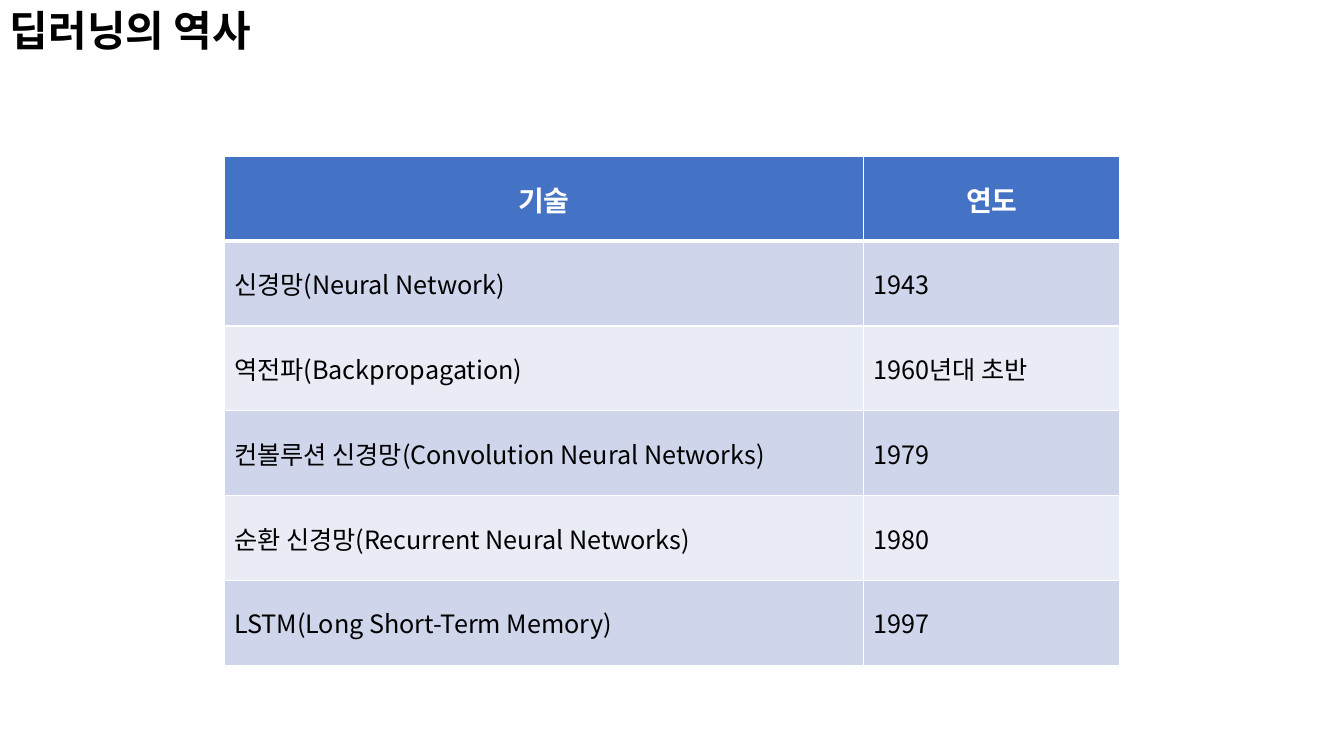
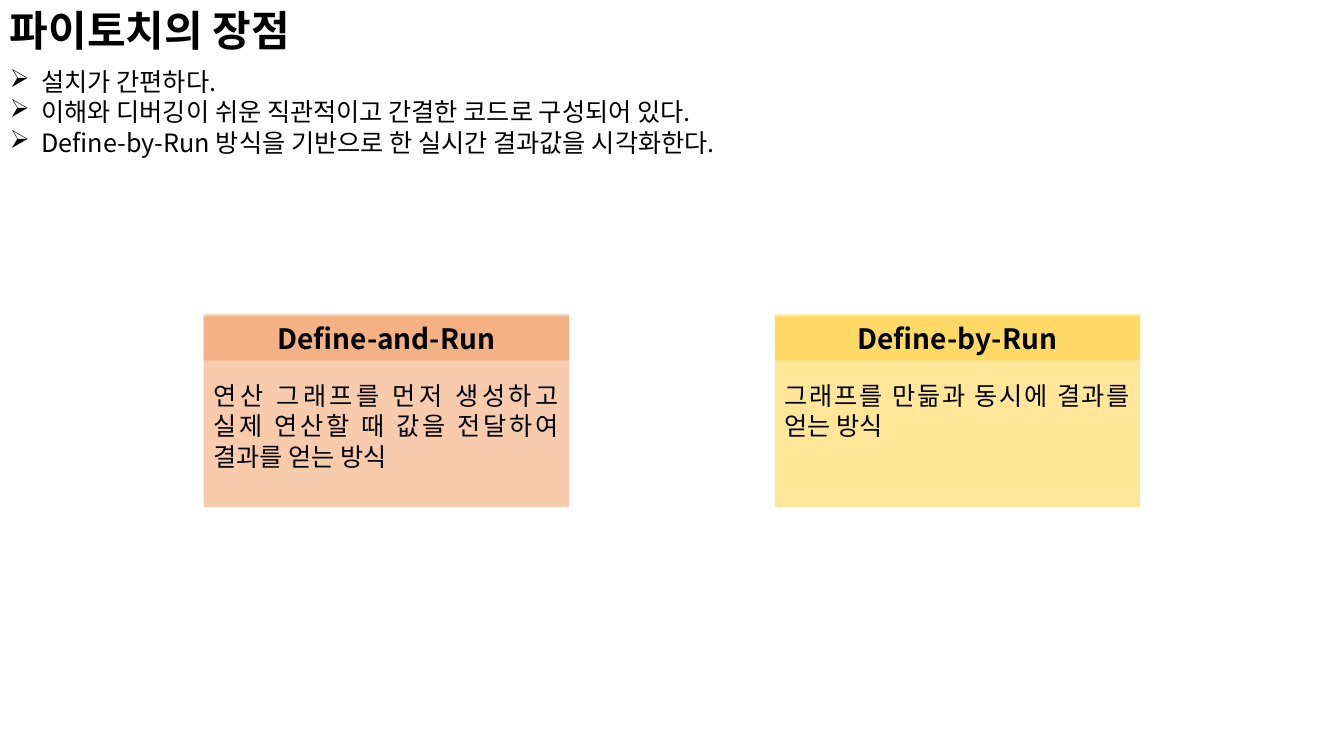
"""Build two slides on deep learning history and framework strengths."""
from dataclasses import dataclass

from lxml import etree
from pptx import Presentation
from pptx.dml.color import RGBColor
from pptx.enum import shapes, text
from pptx.oxml import ns
from pptx.util import Pt


@dataclass(frozen=True)
class Theme:
    """Hold the colours, type sizes and measures that the slides share."""
    face: str = "Noto Sans CJK KR"
    black: str = "000000"
    white: str = "FFFFFF"
    blue: str = "4472C4"
    bands: tuple = ("CFD5EA", "E9EBF5")
    orange: tuple = ("F4B183", "F8CBAD")
    yellow: tuple = ("FFD966", "FFE699")
    title: int = 30
    head: int = 20
    body: int = 18
    wide: int = 960
    high: int = 540
    bar: int = 44


T = Theme()
LEFT, MID, JUST = (text.PP_ALIGN.LEFT, text.PP_ALIGN.CENTER,
                   text.PP_ALIGN.JUSTIFY)

HISTORY = [
    ("기술", "연도"),
    ("신경망(Neural Network)", "1943"),
    ("역전파(Backpropagation)", "1960년대 초반"),
    ("컨볼루션 신경망(Convolution Neural Networks)", "1979"),
    ("순환 신경망(Recurrent Neural Networks)", "1980"),
    ("LSTM(Long Short-Term Memory)", "1997"),
]
POINTS = [
    "설치가 간편하다.",
    "이해와 디버깅이 쉬운 직관적이고 간결한 코드로 구성되어 있다.",
    "Define-by-Run 방식을 기반으로 한 실시간 결과값을 시각화한다.",
]
CARDS = [
    ("Define-and-Run", T.orange,
     "연산 그래프를 먼저 생성하고 실제 연산할 때 값을 전달하여 결과를 얻는 방식"),
    ("Define-by-Run", T.yellow, "그래프를 만듦과 동시에 결과를 얻는 방식"),
]


def paint(fill, tone):
    """Give a fill one solid colour."""
    fill.solid()
    fill.fore_color.rgb = RGBColor.from_string(tone)


def style(para, size, bold=False, tone=T.black, align=LEFT):
    """Set the font and alignment of a paragraph."""
    para.alignment = align
    font = para.font
    font.size, font.bold, font.name = Pt(size), bold, T.face
    font.color.rgb = RGBColor.from_string(tone)
    props = para._p.pPr.find(ns.qn("a:defRPr"))
    etree.SubElement(props, ns.qn("a:ea"), typeface=T.face)


def bullet(para):
    """Give a paragraph an arrow bullet with a hanging indent."""
    props = para._p.get_or_add_pPr()
    dent = Pt(22.5)
    props.set("marL", str(dent))
    props.set("indent", str(-dent))
    etree.SubElement(props, ns.qn("a:buChar"), char="➢")


def label(slide, top, high, lines, size, bold=False, marks=False):
    """Add a full-width text box with one paragraph per line."""
    box = slide.shapes.add_textbox(0, Pt(top), Pt(T.wide), Pt(high))
    frame = box.text_frame
    frame.word_wrap = True
    frame.text = "\n".join(lines)
    for para in frame.paragraphs:
        if marks:
            bullet(para)
        style(para, size, bold)


def block(slide, spot, tone, words, size, bold, align):
    """Add a plain filled rectangle with text and return its frame."""
    rect = slide.shapes.add_shape(shapes.MSO_SHAPE.RECTANGLE,
                                  *(Pt(n) for n in spot))
    rect.shadow.inherit = False
    rect.line.fill.background()
    paint(rect.fill, tone)
    frame = rect.text_frame
    frame.word_wrap = True
    frame.vertical_anchor = text.MSO_ANCHOR.MIDDLE
    frame.text = words
    style(frame.paragraphs[0], size, bold, align=align)
    return frame


def card(slide, left, wide, name, tones, words):
    """Add a text panel with a heading bar over its top."""
    top = 224.5
    frame = block(slide, (left, top, wide, 137.5), tones[1], words,
                  T.body, False, JUST)
    frame.vertical_anchor = text.MSO_ANCHOR.TOP
    frame.margin_top = Pt(47.3)
    block(slide, (left, top + 1.5, wide, 31.5), tones[0], name,
          T.head, True, MID)


def edge(cell, row):
    """Draw white cell borders, thicker below the heading row."""
    props = cell._tc.get_or_add_tcPr()
    thick = {"T": row == 1, "B": row == 0}
    for side in "LRTB":
        width = Pt(3 if thick.get(side) else 1)
        line = etree.SubElement(props, ns.qn("a:ln" + side), w=str(width))
        solid = etree.SubElement(line, ns.qn("a:solidFill"))
        etree.SubElement(solid, ns.qn("a:srgbClr"), val=T.white)


def grid(slide, rows, cols, left, top, high):
    """Add a banded table with a heading row."""
    frame = slide.shapes.add_table(len(rows), len(cols), Pt(left), Pt(top),
                                   Pt(sum(cols)), Pt(high * len(rows)))
    table = frame.table
    for col, wide in zip(table.columns, cols):
        col.width = Pt(wide)
    for r, words in enumerate(rows):
        table.rows[r].height = Pt(high)
        for c, word in enumerate(words):
            cell = table.cell(r, c)
            edge(cell, r)
            cell.vertical_anchor = text.MSO_ANCHOR.MIDDLE
            cell.text = word
            para = cell.text_frame.paragraphs[0]
            if r == 0:
                paint(cell.fill, T.blue)
                style(para, T.head, True, T.white, MID)
            else:
                paint(cell.fill, T.bands[(r - 1) % 2])
                style(para, T.body)


def page(deck, title):
    """Add a blank slide with the shared title."""
    slide = deck.slides.add_slide(deck.slide_layouts[6])
    label(slide, 0, T.bar, [title], T.title, True)
    return slide


def main():
    """Build and save the deck."""
    deck = Presentation()
    deck.slide_width, deck.slide_height = Pt(T.wide), Pt(T.high)

    slide = page(deck, "딥러닝의 역사")
    cols = (457, 183)
    grid(slide, HISTORY, cols, (T.wide - sum(cols)) / 2, 111.75, 60.6)

    slide = page(deck, "파이토치의 장점")
    label(slide, T.bar, 73, POINTS, T.body, marks=True)
    side, wide = 145.5, 261
    step = T.wide - 2 * side - wide
    for i, item in enumerate(CARDS):
        card(slide, side + i * step, wide, *item)

    deck.save("out.pptx")


if __name__ == "__main__":
    main()
